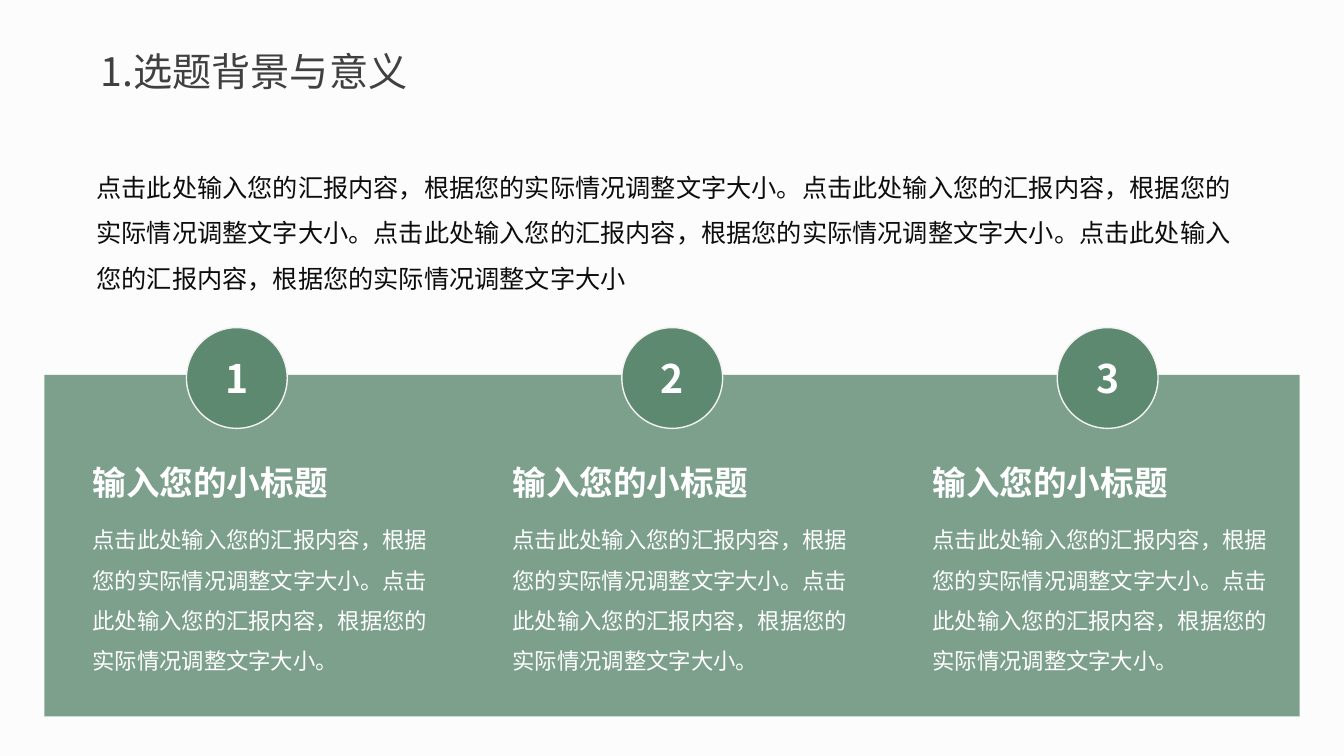
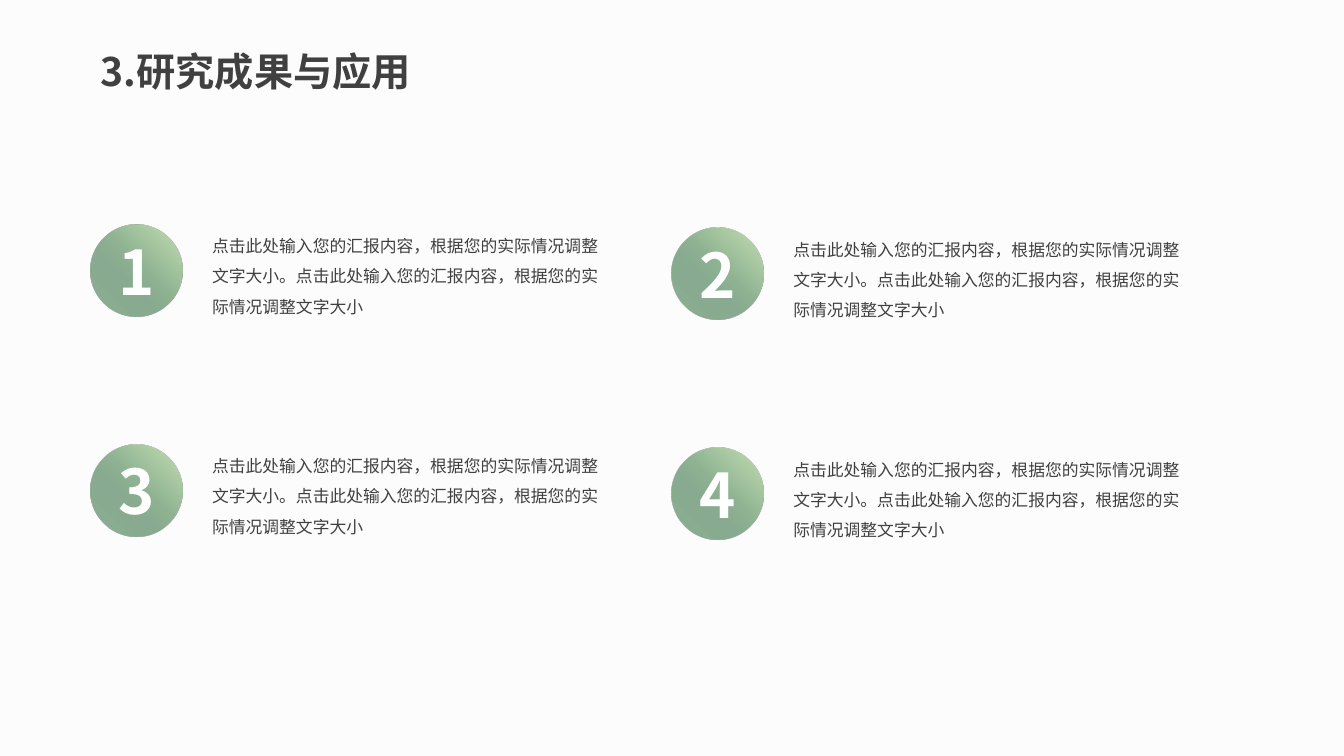
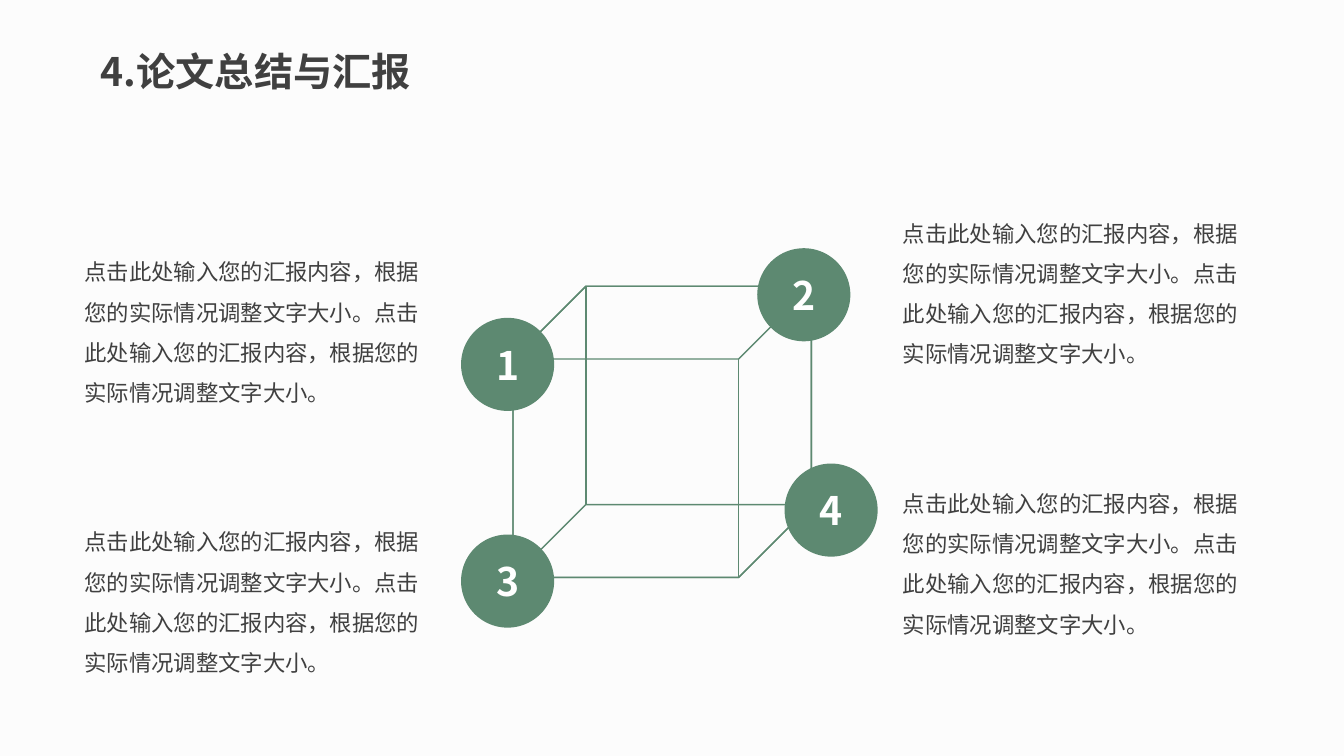
import dataclasses

import lxml.etree
import pptx
import pptx.dml.color
import pptx.enum.shapes
import pptx.enum.text
import pptx.oxml
import pptx.oxml.ns
import pptx.util

Pt = pptx.util.Pt
RGB = pptx.dml.color.RGBColor.from_string
qn = pptx.oxml.ns.qn
Kind = pptx.enum.shapes.MSO_SHAPE
Align = pptx.enum.text.PP_ALIGN
Anchor = pptx.enum.text.MSO_ANCHOR
AutoSize = pptx.enum.text.MSO_AUTO_SIZE


@dataclasses.dataclass(frozen=True)
class Theme:
    font: str = "Noto Sans CJK SC"
    paper: str = "FCFCFC"
    green: str = "5D8971"
    rim: str = "F2F2F2"
    white: str = "FFFFFF"
    grey: str = "404040"
    ink: str = "0D0D0D"
    gradient: tuple = (
        (0, "C5E0B4", 100),
        (43, "91B593", 100),
        (62, "79A083", 88),
        (83, "7BA284", 88),
        (100, "AFCEA6", 100),
    )
    title: int = 28
    heading: int = 24
    intro: int = 18
    body: int = 16
    small: int = 12
    number: int = 28
    big_number: int = 44


theme = Theme()
sentence = "点击此处输入您的汇报内容，根据您的实际情况调整文字大小。"
badge_size = 65.5


def write(shape, text, size, color, bold=False, spacing=None, centred=False):
    frame = shape.text_frame
    frame.text = text
    frame.word_wrap = True
    frame.vertical_anchor = Anchor.MIDDLE if centred else Anchor.TOP
    frame.auto_size = AutoSize.NONE if centred else AutoSize.SHAPE_TO_FIT_TEXT
    paragraph = frame.paragraphs[0]
    paragraph.alignment = Align.CENTER if centred else Align.LEFT
    paragraph.line_spacing = spacing
    run = paragraph.runs[0]
    run.font.size = Pt(size)
    run.font.bold = bold
    run.font.color.rgb = RGB(color)
    run.font.name = theme.font
    lxml.etree.SubElement(run._r.get_or_add_rPr(), qn("a:ea"), typeface=theme.font)


def add_badge(shapes, left, top, diameter, number, size, rim=None):
    badge = shapes.add_shape(Kind.OVAL, Pt(left), Pt(top), Pt(diameter), Pt(diameter))
    badge.shadow.inherit = False
    badge.fill.solid()
    badge.fill.fore_color.rgb = RGB(theme.green)
    if rim:
        badge.line.color.rgb = RGB(rim)
        badge.line.width = Pt(1)
    else:
        badge.line.fill.background()
    write(badge, str(number), size, theme.white, bold=True, centred=True)
    return badge


deck = pptx.Presentation()
deck.slide_width, deck.slide_height = Pt(960), Pt(540)
deck.slide_master.background.fill.solid()
deck.slide_master.background.fill.fore_color.rgb = RGB(theme.paper)

title_only = deck.slide_layouts[5]
slides = []
for heading, bold in (
    ("1.选题背景与意义", False),
    ("3.研究成果与应用", True),
    ("4.论文总结与汇报", True),
):
    slide = deck.slides.add_slide(title_only)
    title = slide.shapes.title
    title.left, title.top, title.width, title.height = map(Pt, (64.8, 30.2, 241.2, 41))
    write(title, heading, theme.title, theme.grey, bold=bold)
    slides.append(slide)
background, results, summary = slides

band = background.shapes.add_shape(Kind.RECTANGLE, Pt(31.7), Pt(267.8), Pt(896.6), Pt(244))
band.shadow.inherit = False
band.fill.solid()
band.fill.fore_color.rgb = RGB(theme.green)
band_color = band.element.spPr.find(qn("a:solidFill"))[0]
lxml.etree.SubElement(band_color, qn("a:alpha"), val="80000")
band.line.fill.background()

for column in range(3):
    add_badge(background.shapes, 133.2 + 311 * column, 234, 72, column + 1, theme.number, theme.rim)
    left = 59 + 300 * column
    subtitle = background.shapes.add_textbox(Pt(left), Pt(326.2), Pt(219), Pt(36))
    write(subtitle, "输入您的小标题", theme.heading, theme.white, bold=True)
    detail = background.shapes.add_textbox(Pt(left), Pt(362.9), Pt(259.2), Pt(120))
    write(detail, sentence * 2, theme.body, theme.white, spacing=1.5)

intro = background.shapes.add_textbox(Pt(61.9), Pt(108.7), Pt(836.6), Pt(102))
write(intro, (sentence * 4).rstrip("。"), theme.intro, theme.ink, spacing=1.5)

for index in range(4):
    row, column = divmod(index, 2)
    left = 64.8 + 415.2 * column
    top = 160.4 + 157 * row + 2.5 * column
    badge = add_badge(results.shapes, left, top, badge_size, index + 1, theme.big_number)
    badge.fill.gradient()
    badge.fill.gradient_angle = 226
    stops = badge.element.spPr.find(".//" + qn("a:gsLst"))
    for stop in list(stops):
        stops.remove(stop)
    for position, color, opacity in theme.gradient:
        stop = lxml.etree.SubElement(stops, qn("a:gs"), pos=str(position * 1000))
        shade = lxml.etree.SubElement(stop, qn("a:srgbClr"), val=color)
        if opacity < 100:
            lxml.etree.SubElement(shade, qn("a:alpha"), val=str(opacity * 1000))
    result = results.shapes.add_textbox(Pt(left + 79.6), Pt(top - 2.6), Pt(301), Pt(70.6))
    write(result, (sentence * 2).rstrip("。"), theme.small, theme.grey, spacing=1.5)

diagram = summary.shapes.add_group_shape()
for flipped in (False, True):
    cube = diagram.shapes.add_shape(Kind.CUBE, Pt(366.5), Pt(204.5), Pt(213.1), Pt(208))
    cube.shadow.inherit = False
    cube.fill.background()
    cube.line.color.rgb = RGB(theme.green)
    cube.line.width = Pt(1)
    if flipped:
        cube.element.spPr.xfrm.set("flipH", "1")
        cube.element.spPr.xfrm.set("flipV", "1")

for number, left, top in ((1, 329.8, 227.5), (4, 560.9, 331.6), (3, 329.8, 382.3), (2, 541.4, 177.8)):
    add_badge(diagram.shapes, left, top, badge_size, number, theme.number, theme.green)

for left, first_top in ((53.3, 171.4), (637.9, 143.8)):
    for row in range(2):
        point = summary.shapes.add_textbox(Pt(left), Pt(first_top + 193 * row), Pt(269.3), Pt(120))
        write(point, sentence * 2, theme.body, theme.grey, spacing=1.5)

deck.save("out.pptx")
